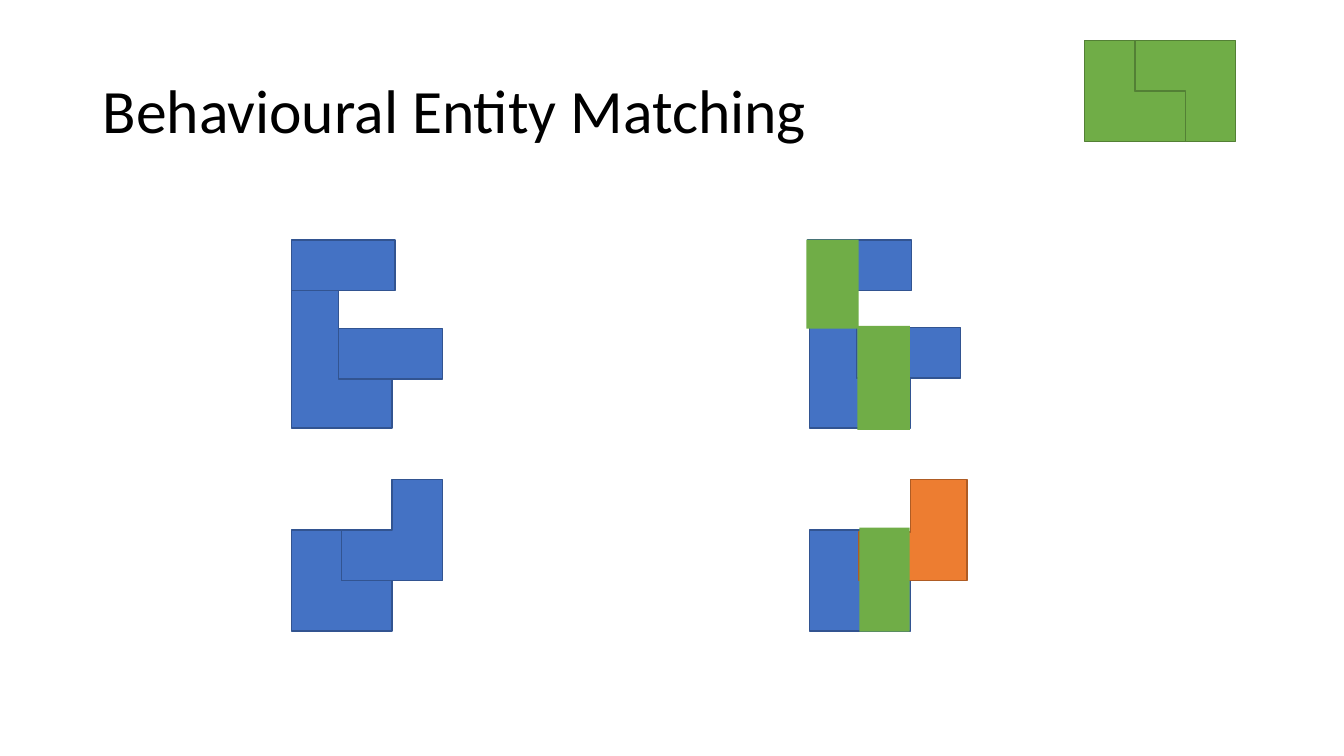
from dataclasses import dataclass

from lxml import etree
from pptx import Presentation
from pptx.dml.color import RGBColor
from pptx.enum.shapes import MSO_SHAPE
from pptx.enum.text import MSO_ANCHOR
from pptx.oxml.ns import qn
from pptx.shapes.autoshape import Shape
from pptx.slide import Slide
from pptx.util import Cm, Pt

BAR = MSO_SHAPE.RECTANGLE
MIDDLE = MSO_ANCHOR.MIDDLE


@dataclass(frozen=True)
class Paint:
    """Fill colour and optional edge colour."""
    fill: str
    edge: str | None = None


@dataclass(frozen=True)
class Theme:
    """Colours and type of the slide."""
    blue: Paint = Paint("4472C4", "325491")
    green: Paint = Paint("70AD47", "538035")
    match: Paint = Paint("70AD47")
    orange: Paint = Paint("ED7D31", "AF5C24")
    ink: str = "000000"
    font: str = "Calibri"
    title: int = 44
    edge: float = 1


THEME = Theme()


@dataclass(frozen=True)
class Piece:
    """A block of a puzzle, in centimetres before turning."""
    left: float
    top: float
    paint: Paint
    width: float = 2.54
    height: float = 2.54
    turn: int = 0
    arms: tuple[float, ...] = (0.5, 0.5)


def bar(left: float, top: float, paint: Paint, width: float = 2.62,
        height: float = 1.27, turn: int = 0) -> Piece:
    """Describe a plain rectangular block."""
    return Piece(left, top, paint, width, height, turn, ())


def tower(left: float) -> Piece:
    """Describe the tall corner of an upper puzzle."""
    return Piece(left, 6.07, THEME.blue, height=4.72, arms=(0.5, 0.47))


def bend(shape: Shape, arms: tuple[float, ...]) -> None:
    """Make a block the corner preset, which MSO_SHAPE does not list."""
    preset = shape.element.spPr.find(qn("a:prstGeom"))
    preset.set("prst", "corner")
    guides = preset.find(qn("a:avLst"))
    for index, arm in enumerate(arms, 1):
        etree.SubElement(guides, qn("a:gd"), name=f"adj{index}",
                         fmla=f"val {round(arm * 100000)}")


def draw(slide: Slide, piece: Piece) -> None:
    """Add one block to the slide."""
    shape = slide.shapes.add_shape(
        BAR, Cm(piece.left), Cm(piece.top),
        Cm(piece.width), Cm(piece.height))
    shape.rotation = piece.turn
    shape.shadow.inherit = False
    if piece.arms:
        bend(shape, piece.arms)
    shape.fill.solid()
    shape.fill.fore_color.rgb = RGBColor.from_string(piece.paint.fill)
    if piece.paint.edge is None:
        shape.line.fill.background()
    else:
        shape.line.color.rgb = RGBColor.from_string(piece.paint.edge)
        shape.line.width = Pt(THEME.edge)


def head(slide: Slide, text: str) -> None:
    """Add the slide title."""
    box = slide.shapes.add_textbox(Cm(2.34), Cm(1.02), Cm(29.21), Cm(3.68))
    frame = box.text_frame
    frame.word_wrap = True
    frame.vertical_anchor = MIDDLE
    line = frame.paragraphs[0]
    line.text = text
    line.line_spacing = 0.9
    line.font.name = THEME.font
    line.font.size = Pt(THEME.title)
    line.font.color.rgb = RGBColor.from_string(THEME.ink)


LEFT, RIGHT = 7.34, 20.4
LOW = 13.36
GOAL = [
    Piece(27.33, 1.02, THEME.green),
    Piece(28.6, 1.02, THEME.green, turn=180),
]
LOWER = [
    Piece(LEFT, LOW, THEME.blue),
    Piece(8.61, 12.09, THEME.blue, turn=270),
    Piece(RIGHT, LOW, THEME.blue),
    Piece(21.74, 11.99, THEME.orange, height=2.72, turn=270,
          arms=(0.56, 0.48)),
    bar(20.98, 13.97, THEME.match, turn=270),
]
UPPER = [
    tower(RIGHT),
    tower(LEFT),
    bar(8.53, 8.28, THEME.blue),
    bar(LEFT, 6.05, THEME.blue),
    bar(21.59, 8.26, THEME.blue),
    bar(20.35, 6.05, THEME.blue),
    bar(20.96, 8.86, THEME.match, height=1.32, turn=270),
    bar(19.86, 6.5, THEME.match, 2.24, 1.32, 270),
]


def main() -> None:
    """Build and save the slide."""
    deck = Presentation()
    deck.slide_width, deck.slide_height = Cm(33.87), Cm(19.05)
    slide = deck.slides.add_slide(deck.slide_layouts[6])
    head(slide, "Behavioural Entity Matching")
    for piece in GOAL + LOWER + UPPER:
        draw(slide, piece)
    deck.save("out.pptx")


main()
